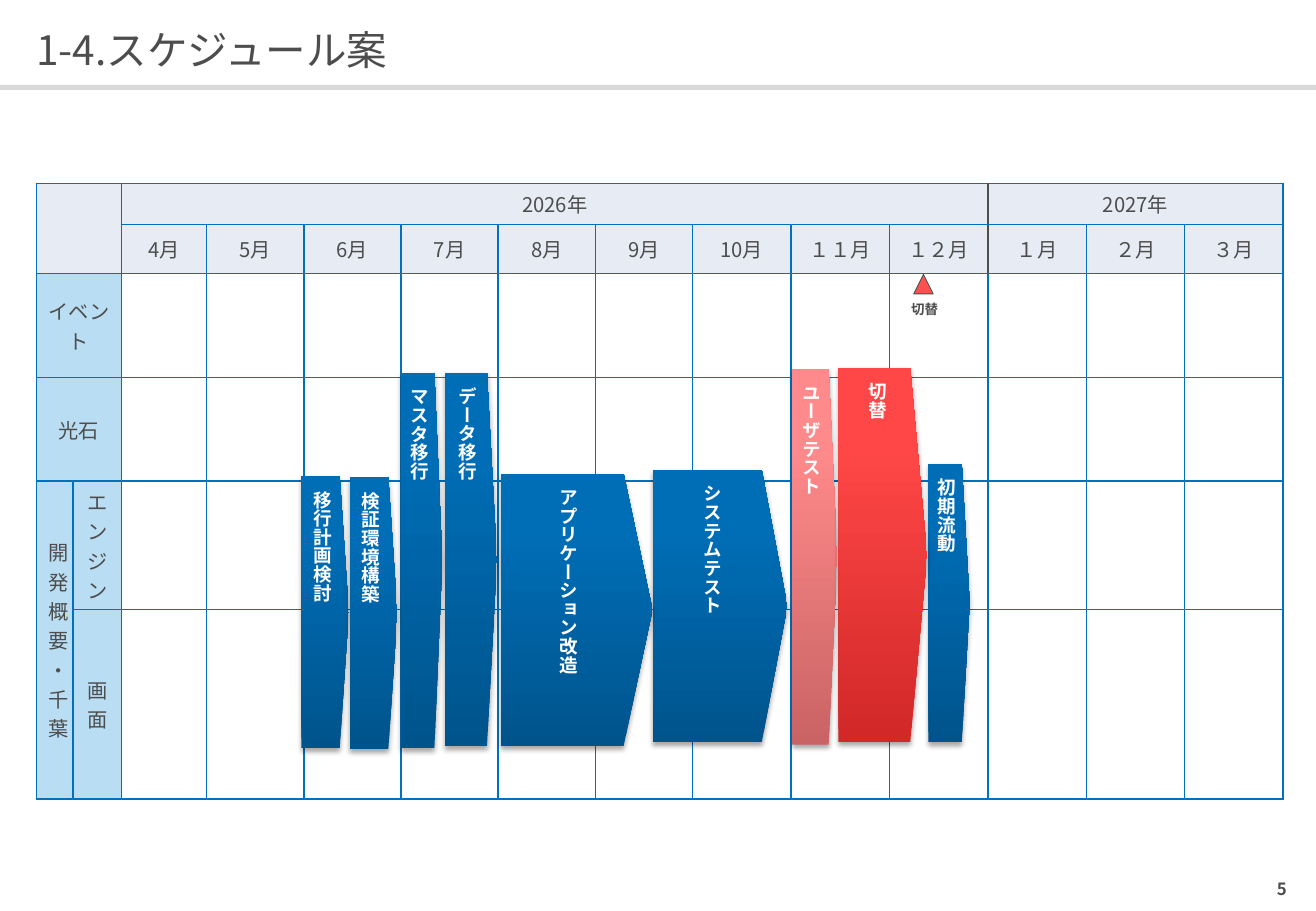
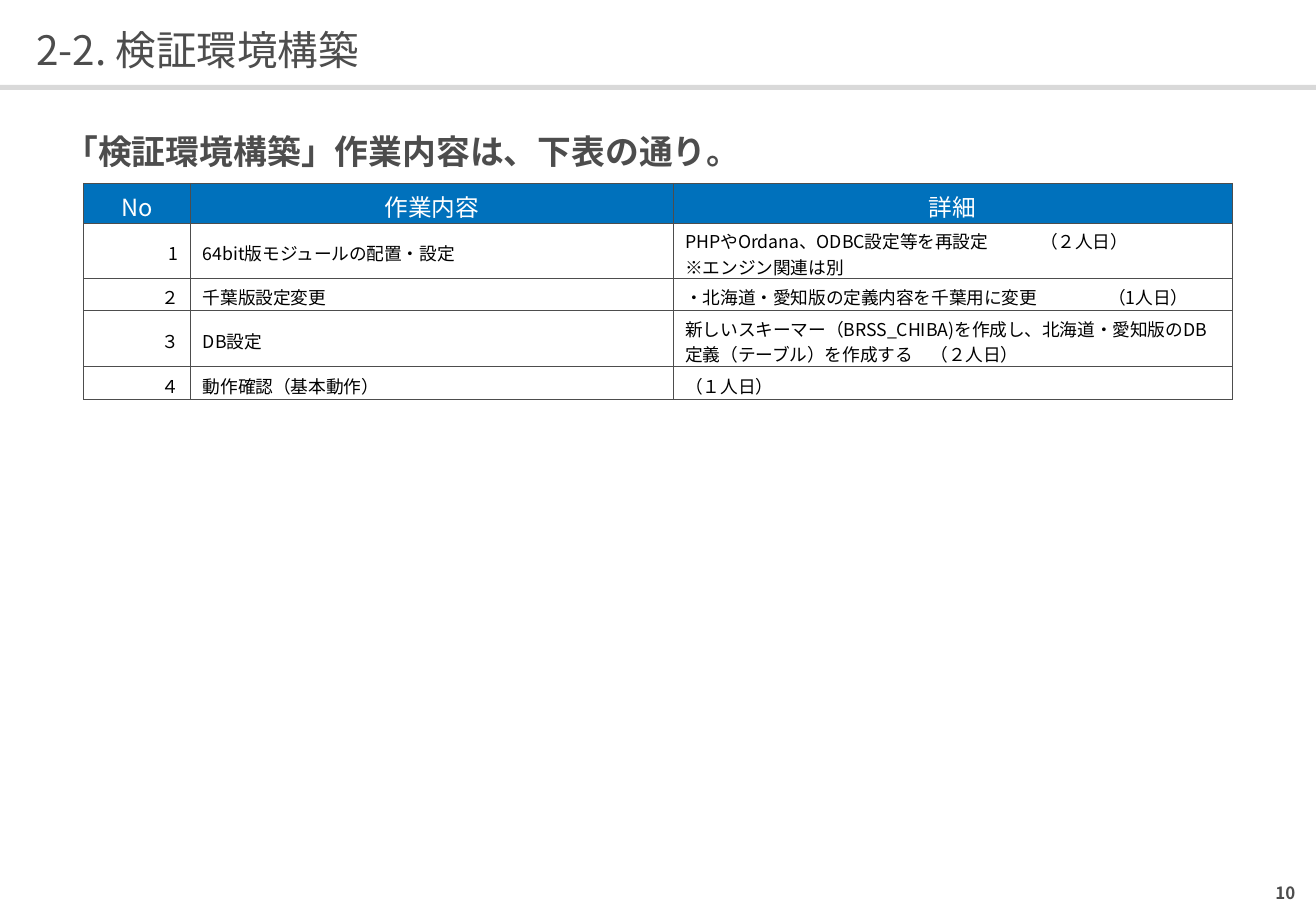
import dataclasses
import typing

import pptx
import pptx.dml.color
import pptx.enum.lang
import pptx.enum.shapes
import pptx.enum.text
import pptx.oxml
import pptx.oxml.ns
import pptx.util

RGBColor = pptx.dml.color.RGBColor
Align = pptx.enum.text.PP_ALIGN
Anchor = pptx.enum.text.MSO_ANCHOR
Geometry = pptx.enum.shapes.MSO_SHAPE

EMU_PER_PX = 9144
FONT_NAME = "Noto Sans CJK JP"
WHITE = RGBColor(0xFF, 0xFF, 0xFF)
BLACK = RGBColor(0x00, 0x00, 0x00)
CHARCOAL = RGBColor(0x4D, 0x4D, 0x4D)
RULE_GREY = RGBColor(0xD9, 0xD9, 0xD9)
BLUE = RGBColor(0x00, 0x71, 0xBC)
HEADER_FILL = RGBColor(0xE7, 0xEB, 0xF3)
LABEL_FILL = RGBColor(0xB9, 0xDD, 0xF3)
MARKER_RED = RGBColor(0xFF, 0x50, 0x50)
BLUE_PAIR = (RGBColor(0x00, 0x54, 0x8C), RGBColor(0x00, 0x6E, 0xB7))
PINK_PAIR = (RGBColor(0xCA, 0x63, 0x64), RGBColor(0xFF, 0x8A, 0x8B))
RED_PAIR = (RGBColor(0xD2, 0x28, 0x28), RGBColor(0xFF, 0x47, 0x47))


@dataclasses.dataclass(frozen=True)
class Box:
    left: int
    top: int
    width: int
    height: int

    def emu(self) -> tuple[int, ...]:
        return tuple(px(value) for value in dataclasses.astuple(self))


@dataclasses.dataclass(frozen=True)
class TextStyle:
    size: float
    color: RGBColor = CHARCOAL
    bold: bool = False
    paragraph: dict[str, typing.Any] = dataclasses.field(default_factory=dict)
    tab_stop: int = 0


@dataclasses.dataclass(frozen=True)
class Phase:
    text: str
    box: Box
    colors: tuple[RGBColor, RGBColor] = BLUE_PAIR


@dataclasses.dataclass(frozen=True)
class Task:
    number: str
    work: str
    detail: str
    tab_stop: int = 0


CENTERED = {"alignment": Align.CENTER}
TITLE_STYLE = TextStyle(24, paragraph={"line_spacing": 1.1})
PAGE_STYLE = TextStyle(10, bold=True, paragraph={"alignment": Align.RIGHT})
HEADING_STYLE = TextStyle(20, bold=True, paragraph={
    "alignment": Align.JUSTIFY, "line_spacing": pptx.util.Pt(30),
    "space_after": pptx.util.Pt(12)})
GRID_STYLE = TextStyle(12, paragraph=CENTERED)
PHASE_STYLE = TextStyle(11, WHITE, True, {
    **CENTERED, "line_spacing": pptx.util.Pt(14.4)})
MARKER_STYLE = TextStyle(8, bold=True)
TASK_HEADER_STYLE = TextStyle(14, WHITE, paragraph=CENTERED)
TASK_STYLE = TextStyle(10.5, BLACK)
NUMBER_STYLE = TextStyle(10.5, BLACK, paragraph={"alignment": Align.RIGHT})

MONTHS = ["4月", "5月", "6月", "7月", "8月", "9月", "10月",
          "１１月", "１２月", "１月", "２月", "３月"]
PHASES = [
    Phase("初期流動", Box(764, 382, 34, 229)),
    Phase("移行計画検討", Box(248, 392, 39, 224)),
    Phase("マスタ移行", Box(330, 307, 34, 309)),
    Phase("ユーザテスト", Box(652, 304, 37, 309), PINK_PAIR),
    Phase("切替", Box(690, 303, 73, 308), RED_PAIR),
    Phase("データ移行", Box(366, 307, 43, 307)),
    Phase("システムテスト", Box(537, 387, 111, 224)),
    Phase("検証環境構築", Box(288, 393, 39, 224)),
    Phase("アプリケーション改造", Box(412, 390, 125, 224)),
]
TASKS = [
    Task("1", "64bit版モジュールの配置・設定",
         "PHPやOrdana、ODBC設定等を再設定\t（２人日）\n※エンジン関連は別", 292),
    Task("２", "千葉版設定変更",
         "・北海道・愛知版の定義内容を千葉用に変更\t（1人日）", 348),
    Task("３", "DB設定",
         "新しいスキーマー（BRSS_CHIBA)を作成し、北海道・愛知版の"
         "DB定義（テーブル）を作成する　（２人日）"),
    Task("４", "動作確認（基本動作）", "（１人日）"),
]


def px(value: int) -> int:
    return value * EMU_PER_PX


def apply(target: typing.Any, values: dict[str, typing.Any]) -> None:
    for name, value in values.items():
        setattr(target, name, value)


def write_text(frame: typing.Any, text: str, style: TextStyle) -> None:
    for index, line in enumerate(text.split("\n")):
        paragraph = frame.paragraphs[0] if index == 0 else frame.add_paragraph()
        apply(paragraph, style.paragraph)
        if style.tab_stop:
            tabs = pptx.oxml.ns.qn("a:tabLst")
            properties = paragraph._p.get_or_add_pPr()
            tab = properties.makeelement(pptx.oxml.ns.qn("a:tab"), {
                "pos": str(px(style.tab_stop)), "algn": "l"})
            tab_list = properties.makeelement(tabs, {})
            tab_list.append(tab)
            properties.append(tab_list)
        run = paragraph.add_run()
        run.text = line
        apply(run.font, {
            "size": pptx.util.Pt(style.size), "bold": style.bold,
            "name": FONT_NAME,
            "language_id": pptx.enum.lang.MSO_LANGUAGE_ID.JAPANESE})
        run.font.color.rgb = style.color
        east_asian = run._r.rPr.makeelement(
            pptx.oxml.ns.qn("a:ea"), {"typeface": FONT_NAME})
        run._r.rPr.find(pptx.oxml.ns.qn("a:latin")).addnext(east_asian)


def set_insets(frame: typing.Any, left: int, top: int,
               right: int, bottom: int) -> None:
    apply(frame, {"margin_left": px(left), "margin_top": px(top),
                  "margin_right": px(right), "margin_bottom": px(bottom)})


def add_text(slide: typing.Any, box: Box, text: str, style: TextStyle,
             anchor: Anchor = Anchor.MIDDLE) -> typing.Any:
    frame = slide.shapes.add_textbox(*box.emu()).text_frame
    apply(frame, {"word_wrap": True, "vertical_anchor": anchor})
    set_insets(frame, 0, 0, 0, 0)
    write_text(frame, text, style)
    return frame


def add_shape(slide: typing.Any, geometry: Geometry, box: Box) -> typing.Any:
    shape = slide.shapes.add_shape(geometry, *box.emu())
    shape.shadow.inherit = False
    shape.line.fill.background()
    return shape


def fill_solid(target: typing.Any, color: RGBColor) -> None:
    target.fill.solid()
    target.fill.fore_color.rgb = color


def add_base_slide(presentation: typing.Any, title: str,
                   page: str, page_box: Box) -> typing.Any:
    slide = presentation.slides.add_slide(presentation.slide_layouts[6])
    fill_solid(add_shape(slide, Geometry.RECTANGLE, Box(0, 70, 1083, 4)),
               RULE_GREY)
    add_text(slide, Box(30, 17, 1024, 43), title, TITLE_STYLE)
    add_text(slide, page_box, page, PAGE_STYLE)
    return slide


def set_border(cell: typing.Any, side: str, color: RGBColor,
               width: float) -> None:
    properties = cell._tc.get_or_add_tcPr()
    old_line = properties.find(pptx.oxml.ns.qn(f"a:ln{side}"))
    line = pptx.oxml.parse_xml(
        f'<a:ln{side} {pptx.oxml.ns.nsdecls("a")} w="{pptx.util.Pt(width)}">'
        f'<a:solidFill><a:srgbClr val="{color}"/></a:solidFill></a:ln{side}>')
    if old_line is None:
        properties.insert("LRTB".index(side), line)
    else:
        properties.replace(old_line, line)


def add_table(slide: typing.Any, left: int, top: int, columns: list[int],
              rows: list[int], color: RGBColor, width: float) -> typing.Any:
    box = Box(left, top, sum(columns), sum(rows))
    table = slide.shapes.add_table(len(rows), len(columns), *box.emu()).table
    apply(table, {"first_row": False, "horz_banding": False})
    for column, size in zip(table.columns, columns):
        column.width = px(size)
    for row, size in zip(table.rows, rows):
        row.height = px(size)
    for cell in table.iter_cells():
        fill_solid(cell, WHITE)
        for side in "LRTB":
            set_border(cell, side, color, width)
    return table


def fill_cell(cell: typing.Any, text: str, style: TextStyle,
              fill: RGBColor) -> None:
    fill_solid(cell, fill)
    cell.vertical_anchor = Anchor.MIDDLE
    if text:
        write_text(cell.text_frame, text, style)


def add_schedule(slide: typing.Any) -> None:
    table = add_table(slide, 30, 151, [30, 40, 70] + [80] * 5 + [81] * 6,
                      [34, 34, 86, 85, 106, 156], BLUE, 1)
    labels = [
        (0, 0, 1, 1, "", HEADER_FILL),
        (0, 2, 0, 10, "2026年", HEADER_FILL),
        (0, 11, 0, 13, "2027年", HEADER_FILL),
        (2, 0, 2, 1, "イベント", LABEL_FILL),
        (3, 0, 3, 1, "光石", LABEL_FILL),
        (4, 0, 5, 0, "開発概要・千葉", LABEL_FILL),
        (4, 1, 4, 1, "エンジン", LABEL_FILL),
        (5, 1, 5, 1, "画面", LABEL_FILL),
    ]
    labels += [(1, column, 1, column, month, HEADER_FILL)
               for column, month in enumerate(MONTHS, 2)]
    for row, column, last_row, last_column, text, fill in labels:
        cell = table.cell(row, column)
        if (row, column) != (last_row, last_column):
            cell.merge(table.cell(last_row, last_column))
        fill_cell(cell, text, GRID_STYLE, fill)
    table.cell(2, 0)._tc.tcPr.set("vert", "eaVert")
    for row, column, side in [(0, 2, "R"), (0, 10, "R"), (0, 11, "L"),
                              (1, 10, "R"), (1, 11, "L")]:
        set_border(table.cell(row, column), side, CHARCOAL, 1)


def add_phase(slide: typing.Any, phase: Phase) -> None:
    shape = add_shape(slide, Geometry.PENTAGON, phase.box)
    shape.adjustments[0] = 0.19
    shape.fill.gradient()
    shape.fill.gradient_angle = 90
    for stop, color, position in zip(shape.fill.gradient_stops,
                                     phase.colors, (0, 0.8)):
        stop.color.rgb = color
        stop.position = position
    effects = shape._element.spPr.find(pptx.oxml.ns.qn("a:effectLst"))
    effects.append(pptx.oxml.parse_xml(
        f'<a:outerShdw {pptx.oxml.ns.nsdecls("a")} '
        f'blurRad="{pptx.util.Pt(3.1)}" dist="{pptx.util.Pt(1.8)}" '
        'dir="5400000" rotWithShape="0"><a:srgbClr val="000000">'
        '<a:alpha val="35000"/></a:srgbClr></a:outerShdw>'))
    frame = shape.text_frame
    apply(frame, {"word_wrap": False, "vertical_anchor": Anchor.MIDDLE})
    set_insets(frame, 12, 12, 12, 10)
    frame._txBody.bodyPr.set("vert", "eaVert")
    write_text(frame, phase.text, PHASE_STYLE)


def build_schedule_slide(presentation: typing.Any) -> None:
    slide = add_base_slide(presentation, "1-4.スケジュール案", "5",
                           Box(806, 718, 253, 28))
    add_schedule(slide)
    for phase in PHASES:
        add_phase(slide, phase)
    marker = add_shape(slide, Geometry.FLOWCHART_EXTRACT,
                       Box(752, 226, 16, 16))
    fill_solid(marker, MARKER_RED)
    marker.line.color.rgb = CHARCOAL
    marker.line.width = pptx.util.Pt(0.5)
    frame = add_text(slide, Box(740, 243, 45, 24), "切替", MARKER_STYLE,
                     Anchor.TOP)
    set_insets(frame, 10, 5, 10, 5)


def build_environment_slide(presentation: typing.Any) -> None:
    slide = add_base_slide(presentation, "2-2. 検証環境構築", "10",
                           Box(813, 721, 253, 28))
    add_text(slide, Box(53, 99, 961, 40),
             "「検証環境構築」作業内容は、下表の通り。", HEADING_STYLE, Anchor.TOP)
    table = add_table(slide, 69, 151, [88, 397, 460],
                      [33, 45, 27, 46, 27], CHARCOAL, 0.75)
    for cell in table.iter_cells():
        set_insets(cell, 10, 4, 10, 0)
    for column, text in enumerate(["No", "作業内容", "詳細"]):
        fill_cell(table.cell(0, column), text, TASK_HEADER_STYLE, BLUE)
    for row, task in enumerate(TASKS, 1):
        detail_style = dataclasses.replace(TASK_STYLE, tab_stop=task.tab_stop)
        fill_cell(table.cell(row, 0), task.number, NUMBER_STYLE, WHITE)
        fill_cell(table.cell(row, 1), task.work, TASK_STYLE, WHITE)
        fill_cell(table.cell(row, 2), task.detail, detail_style, WHITE)


def main() -> None:
    presentation = pptx.Presentation()
    apply(presentation, {"slide_width": px(1083), "slide_height": px(750)})
    build_schedule_slide(presentation)
    build_environment_slide(presentation)
    presentation.save("out.pptx")


if __name__ == "__main__":
    main()
